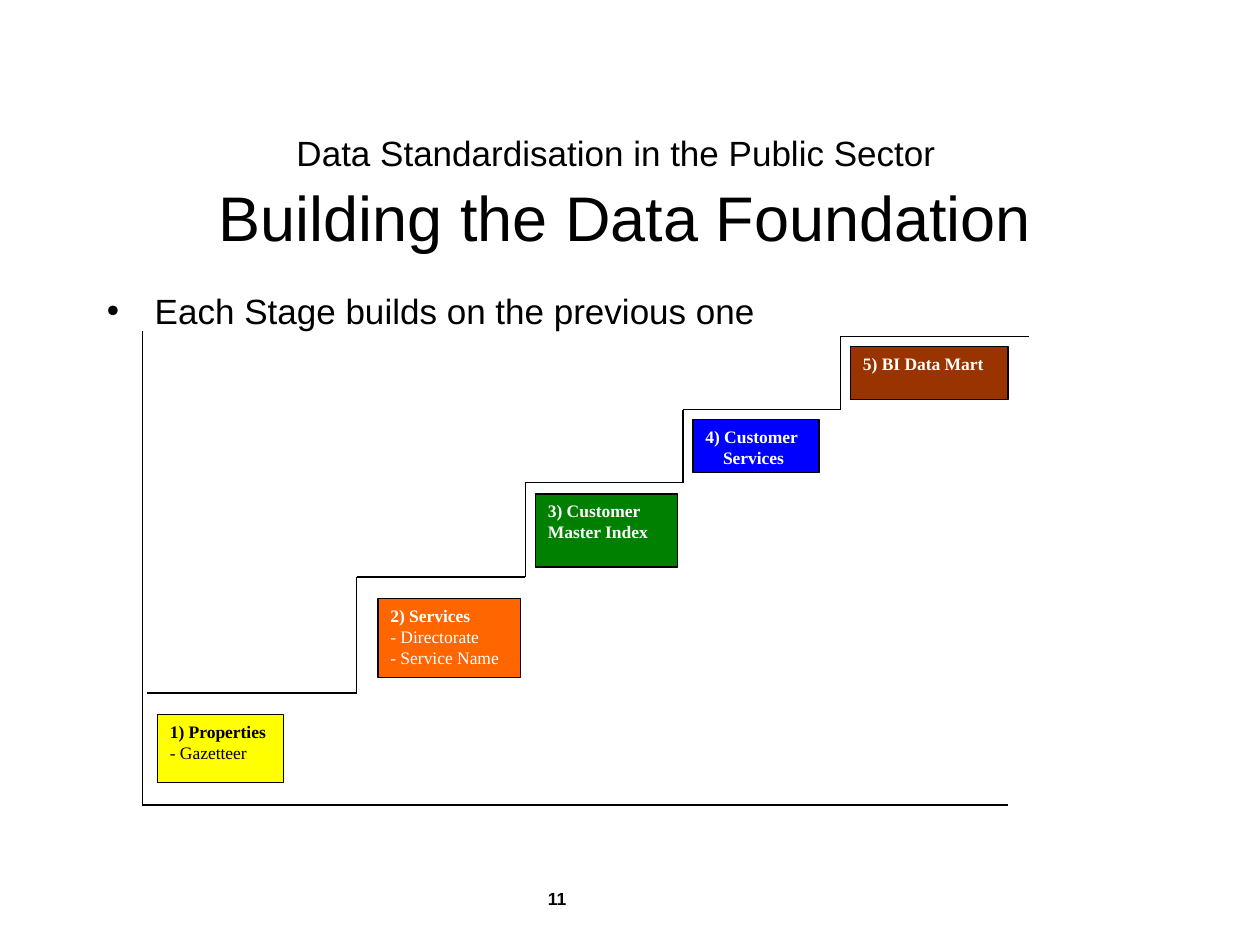
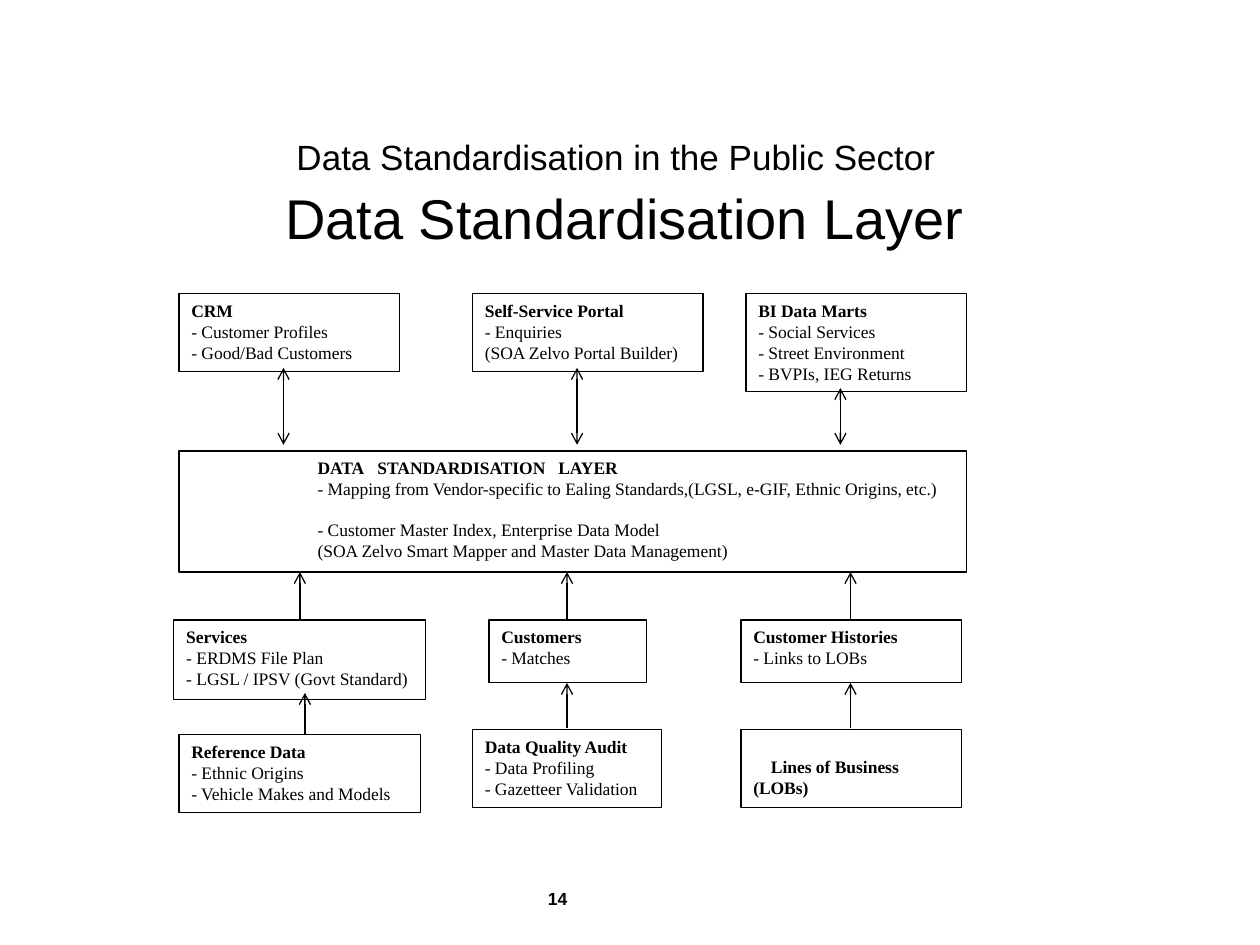
from dataclasses import dataclass
from itertools import pairwise

from lxml.etree import SubElement
from pptx import Presentation
from pptx.dml.color import RGBColor
from pptx.enum.shapes import MSO_CONNECTOR, MSO_SHAPE
from pptx.enum.text import MSO_ANCHOR, PP_ALIGN
from pptx.oxml.ns import qn
from pptx.util import Inches, Pt


@dataclass(frozen=True)
class Theme:
    black: str = "000000"
    white: str = "FFFFFF"
    yellow: str = "FFFF00"
    orange: str = "FF6600"
    green: str = "008000"
    blue: str = "0000FF"
    brown: str = "993300"
    heading_font: str = "Arial"
    card_font: str = "Times New Roman"
    subtitle_size: int = 20
    title_size: int = 36
    small_title_size: int = 32
    body_size: int = 20
    card_size: int = 10
    footer_size: int = 10
    line_width: float = 0.75


theme = Theme()


def write(para, text, size=theme.card_size, font=theme.card_font,
          color=theme.black, bold=False):
    span = para.add_run()
    span.text = text
    span.font.size = Pt(size)
    span.font.name = font
    span.font.bold = bold
    span.font.color.rgb = RGBColor.from_string(color)
    return span


def draw_line(page, start, end, head=False, tail=False):
    line = page.shapes.add_connector(
        MSO_CONNECTOR.STRAIGHT, *(Inches(value) for value in (*start, *end)))
    line.line.color.rgb = RGBColor.from_string(theme.black)
    line.line.width = Pt(theme.line_width)
    stroke = line.line._get_or_add_ln()
    for tag, wanted in (("a:headEnd", head), ("a:tailEnd", tail)):
        if wanted:
            SubElement(stroke, qn(tag), type="arrow")
    SubElement(line._element.spPr, qn("a:effectLst"))


deck = Presentation()
deck.slide_width = Inches(10)
deck.slide_height = Inches(7.5)

# Titles and page numbers
pages = []
for title, title_size, number in (
    ("Building the Data Foundation", theme.title_size, "11"),
    ("Data Standardisation Layer", theme.small_title_size, "14"),
):
    page = deck.slides.add_slide(deck.slide_layouts[6])
    pages.append(page)

    box = page.shapes.add_textbox(Inches(0.75), Inches(0.92), Inches(8.42), Inches(1))
    box.text_frame.word_wrap = True
    box.text_frame.vertical_anchor = MSO_ANCHOR.MIDDLE
    para = box.text_frame.paragraphs[0]
    para.alignment = PP_ALIGN.CENTER
    write(para, "Data Standardisation in the Public Sector",
          size=theme.subtitle_size, font=theme.heading_font)
    write(para, " ", size=theme.title_size, font=theme.heading_font)
    para.add_line_break()
    write(para, title, size=title_size, font=theme.heading_font)

    box = page.shapes.add_textbox(Inches(4.25), Inches(7), Inches(0.58), Inches(0.27))
    box.text_frame.word_wrap = True
    write(box.text_frame.paragraphs[0], number, size=theme.footer_size,
          font=theme.heading_font, bold=True)

stairs_page, layer_page = pages

# Bulleted statement above the staircase
box = stairs_page.shapes.add_textbox(
    Inches(0.75), Inches(2.25), Inches(8.33), Inches(4.17))
box.text_frame.word_wrap = True
para = box.text_frame.paragraphs[0]
write(para, "Each Stage builds on the previous one",
      size=theme.body_size, font=theme.heading_font)
properties = para._p.get_or_add_pPr()
properties.set("marL", str(Inches(0.38)))
properties.set("indent", str(-Inches(0.38)))
SubElement(properties, qn("a:buFont"), typeface=theme.heading_font)
SubElement(properties, qn("a:buChar"), char="•")

# Axes and staircase
axes = [(1.13, 2.63), (1.13, 6.39), (8, 6.39)]
staircase = [(1.17, 5.5), (2.83, 5.5), (2.83, 4.58), (4.17, 4.58), (4.17, 3.83),
             (5.42, 3.83), (5.42, 3.25), (6.67, 3.25), (6.67, 2.67), (8.17, 2.67)]
for outline in (axes, staircase):
    for start, end in pairwise(outline):
        draw_line(stairs_page, start, end)

# Cards: position and size, fill, text colour, bold lines, plain lines
stages = [
    ((1.25, 5.67, 1, 0.54), theme.yellow, theme.black,
     ["1) Properties"], ["- Gazetteer"]),
    ((3, 4.75, 1.13, 0.63), theme.orange, theme.white,
     ["2) Services"], ["- Directorate", "- Service Name"]),
    ((4.25, 3.92, 1.13, 0.58), theme.green, theme.white,
     ["3) Customer", "Master Index"], []),
    ((5.5, 3.33, 1, 0.42), theme.blue, theme.white,
     ["4) Customer", "Services"], []),
    ((6.75, 2.75, 1.25, 0.42), theme.brown, theme.white,
     ["5) BI Data Mart"], []),
]
systems = [
    ((1.42, 2.33, 1.75, 0.62), "CRM",
     ["- Customer Profiles", "- Good/Bad Customers"]),
    ((3.75, 2.33, 1.83, 0.62), "Self-Service Portal",
     ["- Enquiries", "(SOA Zelvo Portal Builder)"]),
    ((5.92, 2.33, 1.75, 0.78), "BI Data Marts",
     ["- Social Services", "- Street Environment", "- BVPIs, IEG Returns"]),
    ((1.42, 3.58, 6.25, 0.96), "DATA STANDARDISATION LAYER",
     ["- Mapping from Vendor-specific to Ealing Standards,"
      "(LGSL, e-GIF, Ethnic Origins, etc.)",
      "- Customer Master Index, Enterprise Data Model",
      "(SOA Zelvo Smart Mapper and Master Data Management)"]),
    ((1.38, 4.92, 2, 0.63), "Services",
     ["- ERDMS File Plan", "- LGSL / IPSV (Govt Standard)"]),
    ((3.88, 4.92, 1.25, 0.5), "Customers", ["- Matches"]),
    ((5.88, 4.92, 1.75, 0.5), "Customer Histories", ["- Links to LOBs"]),
    ((1.42, 5.83, 1.92, 0.62), "Reference Data",
     ["- Ethnic Origins", "- Vehicle Makes and Models"]),
    ((3.75, 5.79, 1.5, 0.62), "Data Quality Audit",
     ["- Data Profiling", "- Gazetteer Validation"]),
    ((5.88, 5.79, 1.75, 0.62), "Lines of Business (LOBs)", []),
]
cards = [(stairs_page, *stage) for stage in stages]
cards += [(layer_page, place, theme.white, theme.black, [heading], details)
          for place, heading, details in systems]

frames = {}
for page, place, fill, color, headings, details in cards:
    card = page.shapes.add_shape(
        MSO_SHAPE.RECTANGLE, *(Inches(value) for value in place))
    card.shadow.inherit = False
    card.fill.solid()
    card.fill.fore_color.rgb = RGBColor.from_string(fill)
    card.line.color.rgb = RGBColor.from_string(theme.black)
    card.line.width = Pt(theme.line_width)
    frame = frames[headings[0]] = card.text_frame
    frame.word_wrap = True
    frame.vertical_anchor = MSO_ANCHOR.TOP
    for index, text in enumerate(headings + details):
        para = frame.add_paragraph() if index else frame.paragraphs[0]
        para.alignment = PP_ALIGN.LEFT
        write(para, text, color=color, bold=index < len(headings))

# First-line indents
for para in (frames["4) Customer"].paragraphs[1],
             frames["Lines of Business (LOBs)"].paragraphs[0]):
    para._p.get_or_add_pPr().set("indent", str(Inches(0.14)))
frames["Lines of Business (LOBs)"].margin_top = Inches(0.21)

# Central layer: inset text, wide word gaps, space between its two groups
layer = frames["DATA STANDARDISATION LAYER"]
layer.margin_left = Inches(1.1)
layer.paragraphs[2].space_before = Pt(11.5)
para = layer.paragraphs[0]
para.clear()
for text in ("DATA", " ", "STANDARDISATION", " ", "LAYER"):
    span = write(para, text, bold=True)
    if text == " ":
        span.font._element.set("spc", "500")

# Two-way arrows between the systems and the layer
for x, top in ((2.25, 2.92), (4.58, 2.92), (6.67, 3.08)):
    draw_line(layer_page, (x, 3.53), (x, top), head=True, tail=True)

# Upward arrows from the sources
for x, bottom, top in ((2.38, 4.91, 4.54), (4.5, 4.91, 4.54), (6.75, 4.91, 4.54),
                       (2.42, 5.83, 5.5), (4.5, 5.78, 5.42), (6.75, 5.78, 5.42)):
    draw_line(layer_page, (x, bottom), (x, top), tail=True)

deck.save("out.pptx")
